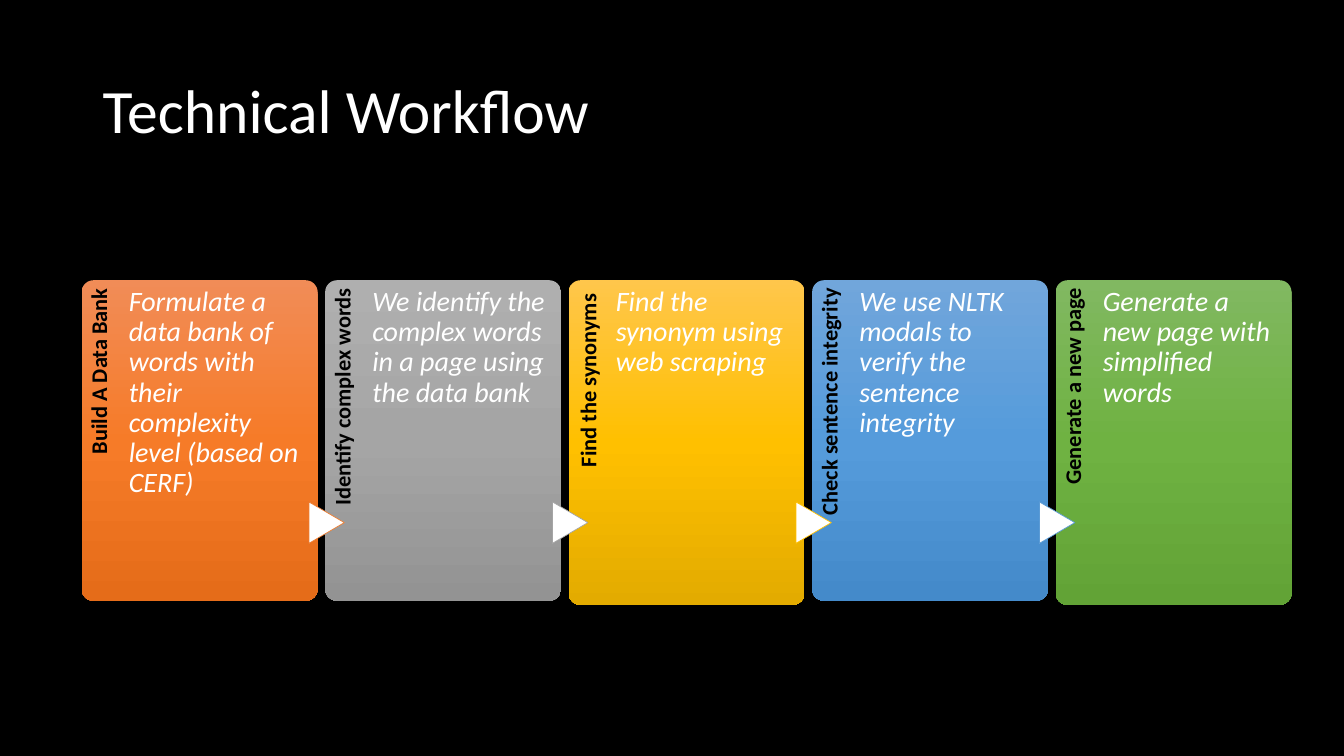
from copy import deepcopy
from dataclasses import dataclass

from pptx import Presentation
from pptx.dml.color import RGBColor
from pptx.enum.shapes import MSO_SHAPE
from pptx.enum.text import MSO_ANCHOR, PP_ALIGN
from pptx.oxml.ns import qn
from pptx.util import Inches, Pt

ROUND = MSO_SHAPE.ROUNDED_RECTANGLE
WEDGE = MSO_SHAPE.FLOWCHART_EXTRACT
TOP, MIDDLE = MSO_ANCHOR.TOP, MSO_ANCHOR.MIDDLE
LEFT, RIGHT = PP_ALIGN.LEFT, PP_ALIGN.RIGHT


@dataclass(frozen=True)
class Theme:
    font: str = "Calibri"
    back: str = "000000"
    light: str = "FFFFFF"
    dark: str = "000000"
    title: int = 44
    body: int = 20
    label: int = 16
    space: int = 18
    fades: tuple = (
        ("F18C57", "F67B28", "E56C19"),
        ("AFAFAF", "A5A5A5", "939393"),
        ("FFC64B", "FFC000", "E3AB00"),
        ("71A6DB", "559BDB", "448ACA"),
        ("81B861", "6FB242", "62A336"),
    )
    edges: tuple = ("ED7D31", "A5A5A5", "FFC000", "5B9BD5")


THEME = Theme()
STEPS = (
    (["Build A Data Bank"], 3.18,
     "Formulate a data bank of words with their complexity level (based on CERF)"),
    (["Identify complex words"], 3.18,
     "We identify the complex words in a page using the data bank"),
    (["Find the synonyms", " "], 3.22,
     "Find the synonym using web scraping"),
    (["Check sentence integrity"], 3.18,
     "We use NLTK modals to verify the sentence integrity"),
    (["Generate a new page"], 3.22,
     "Generate a new page with simplified words"),
)


def rgb(code):
    return RGBColor.from_string(code)


def add_text(slide, box, runs, size, color, insets, anchor=TOP, align=LEFT):
    shape = slide.shapes.add_textbox(*map(Inches, box))
    frame = shape.text_frame
    frame.word_wrap = True
    frame.vertical_anchor = anchor
    (frame.margin_left, frame.margin_top,
     frame.margin_right, frame.margin_bottom) = map(Inches, insets)
    para = frame.paragraphs[0]
    para.alignment = align
    para.line_spacing = 0.9
    for text in runs:
        para.add_run().text = text
    para.font.name = THEME.font
    para.font.size = Pt(size)
    para.font.color.rgb = rgb(color)
    return shape, para


def add_title(slide, box):
    add_text(slide, box, ["Technical Workflow"], THEME.title, THEME.light,
             (0.1, 0.05, 0.1, 0.05), MIDDLE)


def add_card(slide, box, fade):
    card = slide.shapes.add_shape(ROUND, *map(Inches, box))
    card.shadow.inherit = False
    card.adjustments[0] = 0.05
    card.line.fill.background()
    card.fill.gradient()
    card.fill.gradient_angle = 270
    stops = next(card.element.iter(qn("a:gsLst")))
    stops.append(deepcopy(stops[-1]))
    for stop, place, color in zip(card.fill.gradient_stops, (0, 0.5, 1), fade):
        stop.position = place
        stop.color.rgb = rgb(color)


def add_label(slide, box, runs):
    left, top, width, height = box
    flat = (left + (width - height) / 2, top + (height - width) / 2, height, width)
    shape, para = add_text(slide, flat, runs, THEME.label, THEME.dark,
                           (0, 0.06, 0.08, 0), align=RIGHT)
    shape.rotation = 270
    para.font.bold = True
    for run in para.runs[1:]:
        run.font.size = Pt(THEME.space)


def add_arrow(slide, box, edge):
    arrow = slide.shapes.add_shape(WEDGE, *map(Inches, box))
    arrow.shadow.inherit = False
    arrow.rotation = 90
    arrow.fill.solid()
    arrow.fill.fore_color.rgb = rgb(THEME.light)
    arrow.line.color.rgb = rgb(edge)
    arrow.line.width = Pt(0.5)


def add_step(slide, box, runs, body, fade, edge):
    left, top, width, height = box
    side = width / 5
    add_card(slide, box, fade)
    add_label(slide, (left, top, side, height * 0.82), runs)
    if edge:
        add_arrow(slide, (left - 0.19, top + 2.23, 0.41, 0.35), edge)
    _, para = add_text(slide, (left + side, top, 1.74, height), [body],
                       THEME.body, THEME.light, (0, 0.07, 0, 0))
    para.font.italic = True


def add_flow(slide, left, top):
    width, gap = 2.34, 0.075
    edges = (None, *THEME.edges)
    for i, ((runs, height, body), fade, edge) in enumerate(
            zip(STEPS, THEME.fades, edges)):
        box = (left + i * (width + gap), top, width, height)
        add_step(slide, box, runs, body, fade, edge)


def main():
    deck = Presentation()
    deck.slide_width, deck.slide_height = Inches(13.33), Inches(7.5)
    slide = deck.slides.add_slide(deck.slide_layouts[6])
    slide.background.fill.solid()
    slide.background.fill.fore_color.rgb = rgb(THEME.back)
    add_title(slide, (0.92, 0.4, 11.5, 1.45))
    add_flow(slide, 0.81, 2.78)
    deck.save("out.pptx")


if __name__ == "__main__":
    main()
